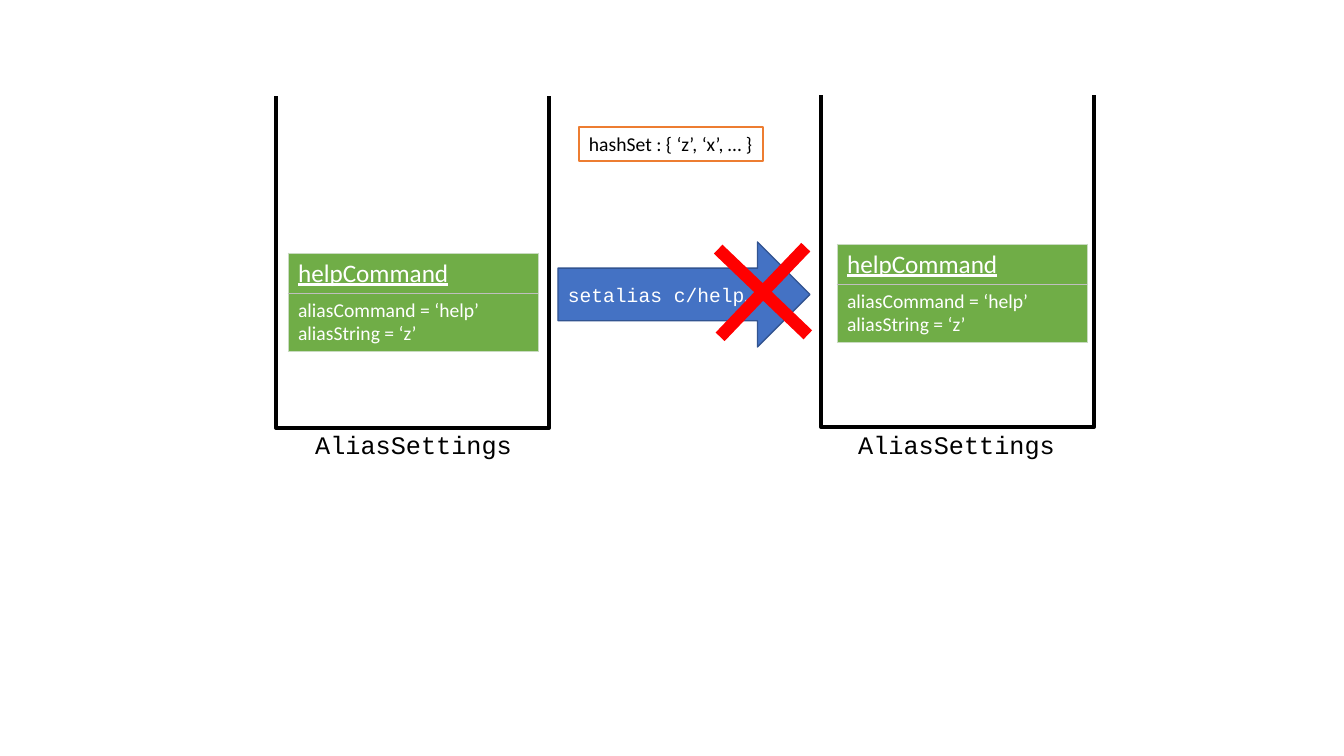
"""Build a slide showing setalias being rejected for an alias already in use."""
from lxml import etree
from pptx import Presentation
from pptx.dml.color import RGBColor
from pptx.enum.shapes import MSO_SHAPE
from pptx.enum.text import MSO_ANCHOR, MSO_AUTO_SIZE, PP_ALIGN
from pptx.oxml.ns import qn
from pptx.util import Pt

RECTANGLE = MSO_SHAPE.RECTANGLE
ARROW = MSO_SHAPE.RIGHT_ARROW
CROSS = MSO_SHAPE.CROSS
MIDDLE = MSO_ANCHOR.MIDDLE
LEFT, CENTER = PP_ALIGN.LEFT, PP_ALIGN.CENTER
GROW = MSO_AUTO_SIZE.SHAPE_TO_FIT_TEXT
PX = 914400 / 100.8


def px(*lengths):
    return [round(length * PX) for length in lengths]


def color(value):
    return RGBColor.from_string(value)


deck = Presentation()
deck.slide_width, deck.slide_height = px(1344, 756)
page = deck.slides.add_slide(deck.slide_layouts[6])

for jar_left, jar_top in ((276, 69), (821, 68)):
    jar = page.shapes.add_group_shape()
    for place, outline, width in (
        ((jar_left, jar_top, 273, 359), "000000", 3),
        ((jar_left - 23, jar_top - 17, 313, 43), "FFFFFF", 1),
    ):
        side = jar.shapes.add_shape(RECTANGLE, *px(*place))
        side.shadow.inherit = False
        side.fill.solid()
        side.fill.fore_color.rgb = color("FFFFFF")
        side.line.color.rgb = color(outline)
        side.line.width = Pt(width)

for label_left in (278, 821):
    label = page.shapes.add_textbox(*px(label_left, 424, 271, 40))
    label.text_frame.word_wrap = True
    label.text_frame.auto_size = GROW
    para = label.text_frame.paragraphs[0]
    para.alignment = CENTER
    span = para.add_run()
    span.text = "AliasSettings"
    span.font.name = "Courier New"
    span.font.size = Pt(18)
    span.font.color.rgb = color("000000")

for kind, place, fill, outline, text, font, ink in (
    (ARROW, (558, 242, 252, 105), "4472C4", "325491", "setalias c/help…", "Courier New", "FFFFFF"),
    (RECTANGLE, (579, 127, 184, 34), "FFFFFF", "ED7D31", "hashSet : { ‘z’, ‘x’, … }", "Calibri", "000000"),
):
    box = page.shapes.add_shape(kind, *px(*place))
    box.shadow.inherit = False
    box.fill.solid()
    box.fill.fore_color.rgb = color(fill)
    box.line.color.rgb = color(outline)
    box.line.width = Pt(1)
    frame = box.text_frame
    frame.vertical_anchor = MIDDLE
    frame.word_wrap = kind == ARROW
    if kind == RECTANGLE:
        frame.auto_size = GROW
    para = frame.paragraphs[0]
    para.alignment = LEFT
    span = para.add_run()
    span.text = text
    span.font.name = font
    span.font.size = Pt(14)
    span.font.color.rgb = color(ink)

card_rows = (
    (40, 18, True, ("helpCommand",), "lnB"),
    (58, 14, False, ("aliasCommand = ‘help’", "aliasString = ‘z’"), "lnT"),
)
for card_left, card_top in ((288, 253), (837, 244)):
    card = page.shapes.add_table(2, 1, *px(card_left, card_top, 250, 98)).table
    card.first_row = card.horz_banding = False
    for index, (height, size, underline, lines, divider) in enumerate(card_rows):
        card.rows[index].height = px(height)[0]
        cell = card.cell(index, 0)
        properties = cell._tc.get_or_add_tcPr()
        for edge in ("lnL", "lnR", "lnT", "lnB"):
            width, shade = (Pt(1), "BFBFBF") if edge == divider else (Pt(0.5), "C9DBC1")
            border = etree.SubElement(properties, qn(f"a:{edge}"), w=str(width))
            paint = etree.SubElement(border, qn("a:solidFill"))
            etree.SubElement(paint, qn("a:srgbClr"), val=shade)
        cell.fill.solid()
        cell.fill.fore_color.rgb = color("70AD47")
        for number, line in enumerate(lines):
            frame = cell.text_frame
            para = frame.add_paragraph() if number else frame.paragraphs[0]
            span = para.add_run()
            span.text = line
            span.font.name = "Calibri"
            span.font.size = Pt(size)
            span.font.underline = underline
            span.font.color.rgb = color("FFFFFF")

cross = page.shapes.add_shape(CROSS, *px(701, 230, 124, 124))
cross.shadow.inherit = False
cross.adjustments[0] = 0.45
cross.rotation = 43.7
cross.fill.solid()
cross.fill.fore_color.rgb = color("FF0000")
cross.line.fill.background()

deck.save("out.pptx")
